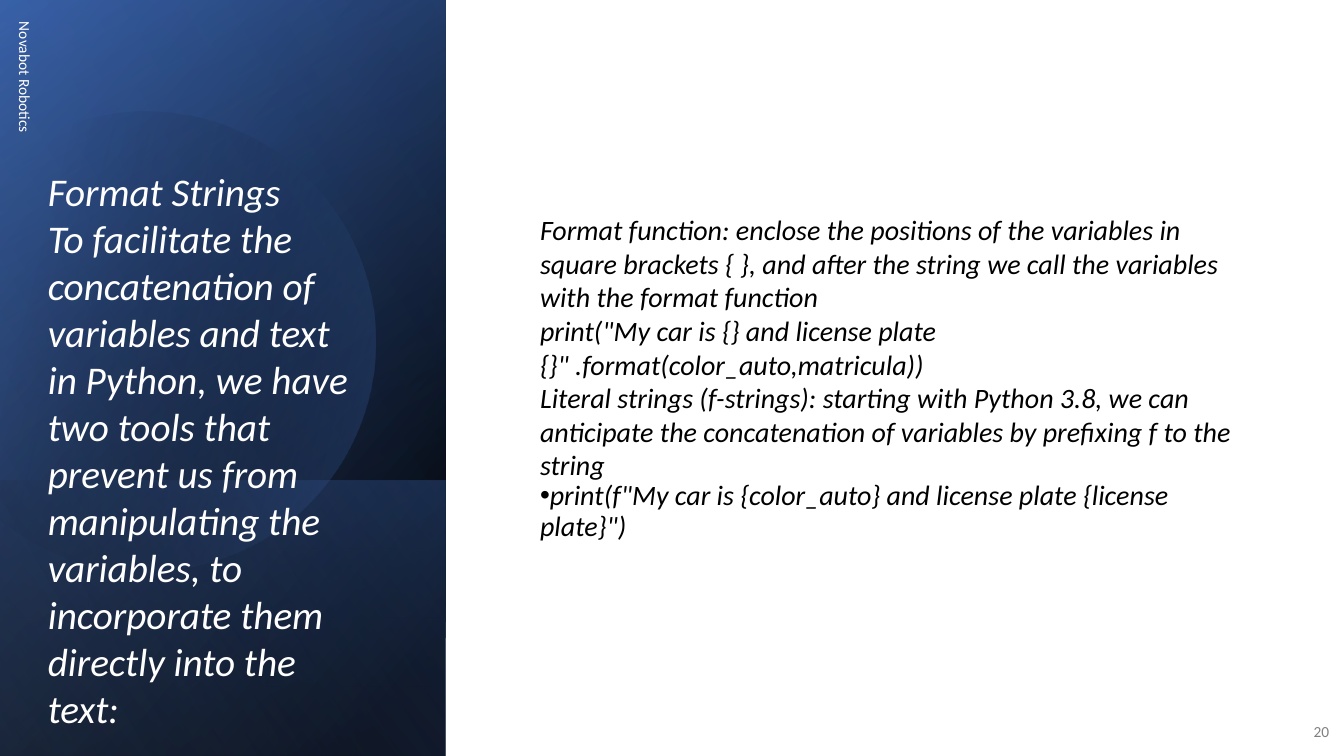
from dataclasses import dataclass
from itertools import pairwise
from math import cos, radians, sin, tan

from lxml.etree import SubElement
from pptx import Presentation
from pptx.dml.color import RGBColor
from pptx.enum.shapes import MSO_SHAPE
from pptx.enum.text import MSO_ANCHOR as Anchor, MSO_AUTO_SIZE as AutoSize, PP_ALIGN as Align
from pptx.oxml.ns import qn
from pptx.util import Cm, Pt


@dataclass(frozen=True)
class Theme:
    font: str = "Calibri"
    black: str = "000000"
    white: str = "FFFFFF"
    gray: str = "808080"
    navy: str = "2F5597"
    blue: str = "4472C4"
    pale: str = "8FAADC"
    title_size: int = 28
    body_size: int = 20
    small_size: int = 11


@dataclass(frozen=True)
class Stop:
    position: int
    color: str
    alpha: int = 100


@dataclass(frozen=True)
class Panel:
    top: float
    height: float
    angle: int
    stops: tuple[Stop, ...]


@dataclass(frozen=True)
class Style:
    size: int
    color: str
    italic: bool = False
    align: Align = Align.LEFT
    anchor: Anchor = Anchor.MIDDLE


THEME = Theme()
SLIDE_WIDTH, SLIDE_HEIGHT = 33.87, 19.05
PANEL_WIDTH = 11.23

BACK_PANELS = (
    Panel(0, SLIDE_HEIGHT, 50, (Stop(8, THEME.black), Stop(100, THEME.navy))),
    Panel(0, SLIDE_HEIGHT, 30, (Stop(0, THEME.black, 0), Stop(99, THEME.blue, 46))),
    Panel(12.1, 6.95, 130, (Stop(2, THEME.blue, 29), Stop(100, THEME.black, 30))),
)
FRONT_PANEL = Panel(0, SLIDE_HEIGHT, 120, (Stop(0, THEME.black, 0), Stop(99, THEME.pale, 11)))
DISC_STOPS = (Stop(29, THEME.black, 0), Stop(100, THEME.blue, 43))

TITLE = (
    "Format Strings\vTo facilitate the concatenation of variables and text in Python, "
    "we have two tools that prevent us from manipulating the variables, "
    "to incorporate them directly into the text:"
)
EXPLANATION = (
    "Format function: enclose the positions of the variables in square brackets { }, "
    "and after the string we call the variables with the format function",
    'print("My car is {} and license plate\v{}" .format(color_auto,matricula))',
    "Literal strings (f-strings): starting with Python 3.8, we can anticipate "
    "the concatenation of variables by prefixing f to the string",
    'print(f"My car is {color_auto} and license plate {license plate}")',
)


def fill_gradient(shape, stops: tuple[Stop, ...], angle: int) -> None:
    shape.shadow.inherit = False
    shape.line.fill.background()
    shape.fill.gradient()
    gradient = shape._element.spPr.find(qn("a:gradFill"))
    for child in list(gradient):
        gradient.remove(child)
    gradient.set("rotWithShape", "1")
    stop_list = SubElement(gradient, qn("a:gsLst"))
    for stop in stops:
        entry = SubElement(stop_list, qn("a:gs"), pos=str(stop.position * 1000))
        color = SubElement(entry, qn("a:srgbClr"), val=stop.color)
        if stop.alpha < 100:
            SubElement(color, qn("a:alpha"), val=str(stop.alpha * 1000))
    SubElement(gradient, qn("a:lin"), ang=str(angle * 60000), scaled="0")


def draw_backdrop(slide) -> None:
    backdrop = slide.shapes.add_shape(
        MSO_SHAPE.RECTANGLE, 0, 0, Cm(SLIDE_WIDTH), Cm(SLIDE_HEIGHT)
    )
    backdrop.shadow.inherit = False
    backdrop.line.fill.background()
    backdrop.fill.solid()
    backdrop.fill.fore_color.rgb = RGBColor.from_string(THEME.white)


def draw_panel(slide, panel: Panel) -> None:
    left = (PANEL_WIDTH - panel.height) / 2
    top = panel.top + (panel.height - PANEL_WIDTH) / 2
    shape = slide.shapes.add_shape(
        MSO_SHAPE.RECTANGLE, Cm(left), Cm(top), Cm(panel.height), Cm(PANEL_WIDTH)
    )
    shape.rotation = 90
    shape._element.spPr.find(qn("a:xfrm")).set("flipH", "1")
    fill_gradient(shape, panel.stops, panel.angle)


def rim_point(angle: float, tangent: float = 0) -> tuple[int, int]:
    center_x, center_y, radius = 3.65, 8.5, 5.8
    across, down = cos(radians(angle)), sin(radians(angle))
    return (
        Cm(center_x + radius * (across - tangent * down)),
        Cm(center_y + radius * (down + tangent * across)),
    )


def draw_disc(slide) -> None:
    angles = (-118, -90, 0, 90, 150)
    controls = []
    for start, end in pairwise(angles):
        reach = 4 / 3 * tan(radians(end - start) / 4)
        controls += [rim_point(start, reach), rim_point(end, -reach), rim_point(end)]
    builder = slide.shapes.build_freeform(*rim_point(angles[0]))
    builder.add_line_segments(controls, close=True)
    disc = builder.convert_to_shape()
    outline = next(disc._element.spPr.iter(qn("a:path")))
    lines = outline.findall(qn("a:lnTo"))
    for first in range(0, len(controls), 3):
        curve = SubElement(outline, qn("a:cubicBezTo"))
        for line in lines[first:first + 3]:
            curve.append(line[0])
            outline.remove(line)
    outline.append(outline.find(qn("a:close")))
    disc.rotation = 343.9
    fill_gradient(disc, DISC_STOPS, 30)


def write_text(shape, paragraphs: tuple[str, ...], style: Style) -> None:
    frame = shape.text_frame
    frame.text = "\n".join(paragraphs)
    frame.word_wrap = True
    frame.auto_size = AutoSize.NONE
    frame.vertical_anchor = style.anchor
    for paragraph in frame.paragraphs:
        paragraph.alignment = style.align
        paragraph.line_spacing = 1.0
        paragraph.space_before = Pt(0)
        for run in paragraph.runs:
            run.font.name = THEME.font
            run.font.size = Pt(style.size)
            run.font.italic = style.italic
            run.font.color.rgb = RGBColor.from_string(style.color)


def add_text(slide, box: tuple[float, ...], paragraphs: tuple[str, ...], style: Style):
    shape = slide.shapes.add_textbox(*map(Cm, box))
    write_text(shape, paragraphs, style)
    return shape


def add_bullet(paragraph) -> None:
    paragraph.line_spacing = 0.9
    properties = paragraph._p.get_or_add_pPr()
    properties.set("marL", "0")
    properties.set("indent", "0")
    SubElement(properties, qn("a:buFont"), typeface="Arial")
    SubElement(properties, qn("a:buChar"), char="•")


def place_title(slide) -> None:
    title = slide.shapes.title
    title.left, title.top, title.width, title.height = map(Cm, (0.95, 4.08, 8.28, 14.83))
    write_text(title, (TITLE,), Style(THEME.title_size, THEME.white, True, anchor=Anchor.TOP))
    title._element.getparent().append(title._element)


def main() -> None:
    deck = Presentation()
    deck.slide_width, deck.slide_height = Cm(SLIDE_WIDTH), Cm(SLIDE_HEIGHT)
    slide = deck.slides.add_slide(deck.slide_layouts[5])

    draw_backdrop(slide)
    for panel in BACK_PANELS:
        draw_panel(slide, panel)
    draw_disc(slide)
    draw_panel(slide, FRONT_PANEL)

    company = add_text(
        slide, (-5.08, 5.51, 11.43, 1.02), ("Novabot Robotics",),
        Style(THEME.small_size, THEME.white),
    )
    company.rotation = 90
    explanation = add_text(
        slide, (13.36, 1.8, 18.21, 15.42), EXPLANATION,
        Style(THEME.body_size, THEME.black, True),
    )
    add_bullet(explanation.text_frame.paragraphs[-1])
    add_text(
        slide, (32.51, 17.93, 1.24, 1.02), ("20",),
        Style(THEME.small_size, THEME.gray, align=Align.RIGHT),
    )
    place_title(slide)
    deck.save("out.pptx")


if __name__ == "__main__":
    main()
